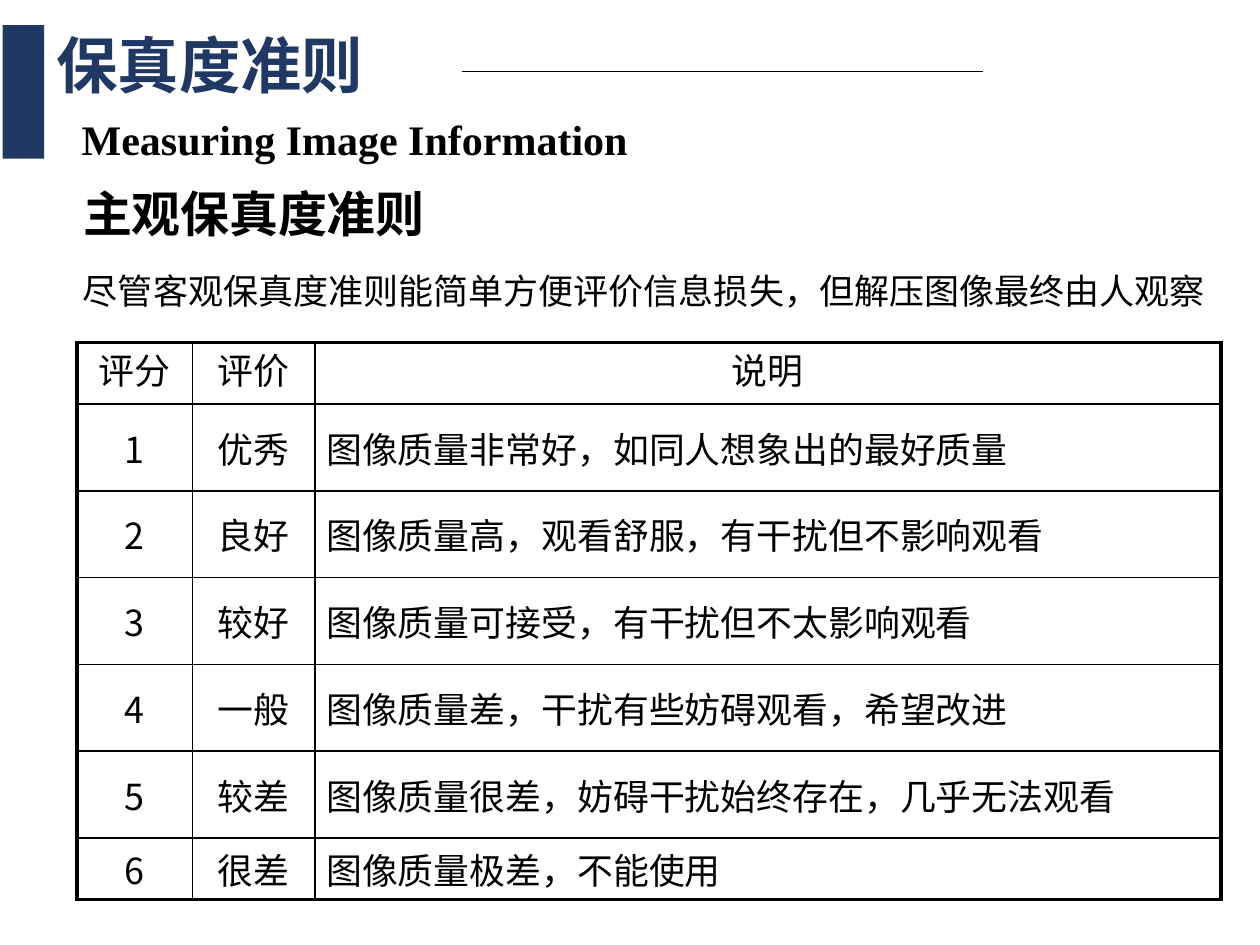
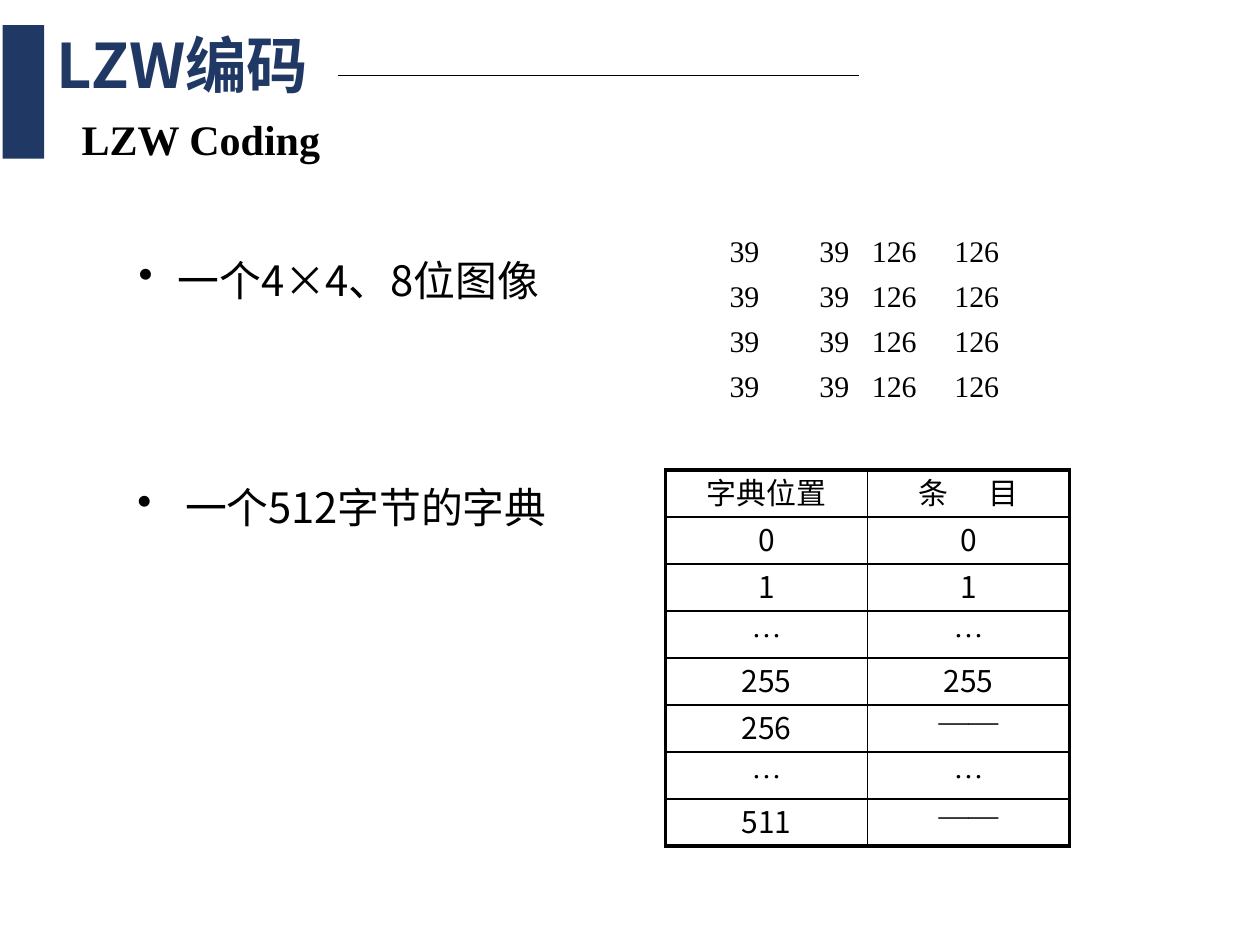
from dataclasses import dataclass

import lxml.etree
import pptx
import pptx.dml.color
import pptx.enum.shapes
import pptx.enum.text
import pptx.oxml.ns
import pptx.presentation
import pptx.shapes.autoshape
import pptx.slide
import pptx.table
import pptx.text.text
import pptx.util

Pt = pptx.util.Pt
qn = pptx.oxml.ns.qn
LEFT = pptx.enum.text.PP_ALIGN.LEFT
CENTER = pptx.enum.text.PP_ALIGN.CENTER
RIGHT = pptx.enum.text.PP_ALIGN.RIGHT
TOP = pptx.enum.text.MSO_ANCHOR.TOP
MIDDLE = pptx.enum.text.MSO_ANCHOR.MIDDLE

NAVY = pptx.dml.color.RGBColor(0x20, 0x38, 0x64)
BLACK = pptx.dml.color.RGBColor(0x00, 0x00, 0x00)

SANS = "Noto Sans CJK SC"
SERIF = "Times New Roman"
ARIAL = "Arial"

OUTER_RULE = 2.25
INNER_RULE = 1


@dataclass(frozen=True)
class TextStyle:
    size: float
    font: str = SANS
    color: pptx.dml.color.RGBColor = BLACK
    bold: bool = False
    spacing: int = 0  # hundredths of a point

    @property
    def east_asian(self) -> str:
        return SANS if self.font == ARIAL else self.font


@dataclass(frozen=True)
class Box:
    left: float
    top: float
    width: float
    height: float

    def lengths(self) -> tuple:
        return Pt(self.left), Pt(self.top), Pt(self.width), Pt(self.height)


@dataclass(frozen=True)
class Column:
    width: float
    align: pptx.enum.text.PP_ALIGN = CENTER
    indent: float = 0


@dataclass(frozen=True)
class Header:
    title: str
    english: str
    rule_left: float
    rule_top: float


@dataclass(frozen=True)
class Bullet:
    text: str
    box: Box
    indent: float
    hanging: float


TITLE = TextStyle(35.1, color=NAVY, bold=True)
ENGLISH = TextStyle(24, SERIF, bold=True)
SECTION = TextStyle(28, ARIAL, bold=True, spacing=-10)
REMARK = TextStyle(20, ARIAL)
BULLET = TextStyle(23.9, spacing=-10)
RATING = TextStyle(20.5)
DICTIONARY = TextStyle(17.1)
PIXEL = TextStyle(17.1, SERIF)

RATINGS = [
    ("评分", "评价", "说明"),
    ("1", "优秀", "图像质量非常好，如同人想象出的最好质量"),
    ("2", "良好", "图像质量高，观看舒服，有干扰但不影响观看"),
    ("3", "较好", "图像质量可接受，有干扰但不太影响观看"),
    ("4", "一般", "图像质量差，干扰有些妨碍观看，希望改进"),
    ("5", "较差", "图像质量很差，妨碍干扰始终存在，几乎无法观看"),
    ("6", "很差", "图像质量极差，不能使用"),
]
RATING_COLUMNS = [Column(66.24), Column(69.84), Column(517.68, LEFT, 6.5)]
RATING_HEIGHTS = [35.1] + [49.6] * 5 + [35.1]

PIXELS = [("39", "39", "126", "126")] * 4
PIXEL_COLUMNS = [Column(30.3, LEFT, 1.5), Column(39.6, RIGHT),
                 Column(47.5, LEFT, 13), Column(38.2, RIGHT)]

ENTRIES = [("字典位置", "条\t目"), ("0", "0"), ("1", "1"), ("…", "…"),
           ("255", "255"), ("256", "——"), ("…", "…"), ("511", "——")]
ENTRY_COLUMNS = [Column(115.5)] * 2
ENTRY_TAB = 40.3

BULLETS = [
    Bullet("一个4×4、8位图像", Box(77.8, 141.1, 263.5, 28.8), 23.8, 22.3),
    Bullet("一个512字节的字典", Box(77.8, 270.7, 257, 28.8), 28.1, 27.4),
]


def add_run(paragraph: pptx.text.text._Paragraph, text: str, style: TextStyle) -> None:
    run = paragraph.add_run()
    run.text = text
    run.font.size = Pt(style.size)
    run.font.bold = style.bold
    run.font.color.rgb = style.color
    run.font.name = style.font
    properties = run._r.get_or_add_rPr()
    if style.spacing:
        properties.set("spc", str(style.spacing))
    lxml.etree.SubElement(properties, qn("a:ea"), typeface=style.east_asian)


def add_tab(paragraph: pptx.text.text._Paragraph, position: float) -> None:
    tabs = lxml.etree.SubElement(paragraph._p.get_or_add_pPr(), qn("a:tabLst"))
    lxml.etree.SubElement(tabs, qn("a:tab"), pos=str(Pt(position)), algn="l")


def add_text(slide: pptx.slide.Slide, box: Box, text: str, style: TextStyle,
             anchor: pptx.enum.text.MSO_ANCHOR = TOP, line_spacing: float = 1.0,
             insets: tuple | None = None) -> pptx.text.text._Paragraph:
    """Insets are left, top, right, bottom in points."""
    frame = slide.shapes.add_textbox(*box.lengths()).text_frame
    frame.word_wrap = True
    frame.vertical_anchor = anchor
    if insets:
        (frame.margin_left, frame.margin_top,
         frame.margin_right, frame.margin_bottom) = map(Pt, insets)
    paragraph = frame.paragraphs[0]
    paragraph.line_spacing = line_spacing
    add_run(paragraph, text, style)
    return paragraph


def add_bullet(slide: pptx.slide.Slide, bullet: Bullet) -> None:
    paragraph = add_text(slide, bullet.box, bullet.text, BULLET,
                         line_spacing=Pt(33), insets=(0, 0, 0, 0))
    properties = paragraph._p.get_or_add_pPr()
    properties.set("marL", str(Pt(bullet.indent)))
    properties.set("indent", str(-Pt(bullet.hanging)))
    lxml.etree.SubElement(properties, qn("a:buChar"), char="•")


def set_borders(cell: pptx.table._Cell, widths: dict[str, float]) -> None:
    """Draw cell edges; a zero width hides the edge."""
    properties = cell._tc.get_or_add_tcPr()
    for position, (edge, width) in enumerate(widths.items()):
        line = lxml.etree.Element(qn(f"a:{edge}"), w=str(Pt(width)))
        if width:
            fill = lxml.etree.SubElement(line, qn("a:solidFill"))
            lxml.etree.SubElement(fill, qn("a:srgbClr"), val=str(BLACK))
        else:
            lxml.etree.SubElement(line, qn("a:noFill"))
        properties.insert(position, line)


def add_grid(slide: pptx.slide.Slide, left: float, top: float, columns: list[Column],
             heights: list[float], rows: list[tuple], style: TextStyle,
             ruled: bool = True, body_anchor: pptx.enum.text.MSO_ANCHOR = TOP) -> None:
    box = Box(left, top, sum(column.width for column in columns), sum(heights))
    table = slide.shapes.add_table(len(rows), len(columns), *box.lengths()).table
    table.first_row = table.horz_banding = False
    for grid_column, column in zip(table.columns, columns):
        grid_column.width = Pt(column.width)
    last_row, last_column = len(rows) - 1, len(columns) - 1
    inner, outer = (INNER_RULE, OUTER_RULE) if ruled else (0, 0)

    for r, (row, height) in enumerate(zip(rows, heights)):
        table.rows[r].height = Pt(height)
        heading = ruled and r == 0
        for c, (text, column) in enumerate(zip(row, columns)):
            cell = table.cell(r, c)
            cell.fill.background()
            cell.margin_top = cell.margin_right = cell.margin_bottom = 0
            cell.margin_left = Pt(0 if heading else column.indent)
            cell.vertical_anchor = TOP if heading else body_anchor
            paragraph = cell.text_frame.paragraphs[0]
            if "\t" in text:
                add_tab(paragraph, ENTRY_TAB)
            paragraph.alignment = CENTER if heading else column.align
            symbol = text in ("…", "——")
            add_run(paragraph, text, TextStyle(style.size, SERIF) if symbol else style)
            set_borders(cell, {
                "lnL": outer if c == 0 else inner,
                "lnR": outer if c == last_column else inner,
                "lnT": outer if r == 0 else inner,
                "lnB": outer if r == last_row else inner,
            })


def add_header(slide: pptx.slide.Slide, header: Header) -> None:
    """Side band, title, thin rule and English title."""
    add_text(slide, Box(25.2, 7.9, 215.3, 62.6), header.title, TITLE, MIDDLE, 0.9)

    y = Pt(header.rule_top)
    rule = slide.shapes.add_connector(
        pptx.enum.shapes.MSO_CONNECTOR.STRAIGHT,
        Pt(header.rule_left), y, Pt(header.rule_left + 298), y)
    rule.line.color.rgb = BLACK
    rule.line.width = Pt(0.5)
    lxml.etree.SubElement(rule._element.spPr, qn("a:effectLst"))

    band = slide.shapes.add_shape(pptx.enum.shapes.MSO_SHAPE.RECTANGLE,
                                  *Box(1.5, 14.4, 23.7, 76.3).lengths())
    band.shadow.inherit = False
    band.fill.solid()
    band.fill.fore_color.rgb = NAVY
    band.line.fill.background()

    add_text(slide, Box(39.6, 49, 586, 64), header.english, ENGLISH, MIDDLE, 0.9)


def new_slide(deck: pptx.presentation.Presentation, header: Header) -> pptx.slide.Slide:
    slide = deck.slides.add_slide(deck.slide_layouts[6])
    add_header(slide, header)
    return slide


def build_fidelity(deck: pptx.presentation.Presentation) -> None:
    slide = new_slide(deck, Header("保真度准则", "Measuring Image Information", 264, 41))
    add_text(slide, Box(29.5, 80.6, 503.3, 55.4), "主观保真度准则", SECTION,
             line_spacing=Pt(37.5), insets=(18, 20.2, 0, 0))
    add_text(slide, Box(40.3, 150.5, 661, 31.7),
             "尽管客观保真度准则能简单方便评价信息损失，但解压图像最终由人观察", REMARK)
    add_grid(slide, 43.9, 195.8, RATING_COLUMNS, RATING_HEIGHTS, RATINGS, RATING,
             body_anchor=MIDDLE)


def build_lzw(deck: pptx.presentation.Presentation) -> None:
    slide = new_slide(deck, Header("LZW编码", "LZW Coding", 193, 43))
    for bullet in BULLETS:
        add_bullet(slide, bullet)
    add_grid(slide, 415.4, 134.6, PIXEL_COLUMNS, [25.7] * len(PIXELS), PIXELS, PIXEL,
             ruled=False)
    add_grid(slide, 380.2, 268.6, ENTRY_COLUMNS, [26.85] * len(ENTRIES), ENTRIES,
             DICTIONARY)


def main() -> None:
    deck = pptx.Presentation()
    deck.slide_width, deck.slide_height = Pt(720), Pt(540)
    build_fidelity(deck)
    build_lzw(deck)
    deck.save("out.pptx")


if __name__ == "__main__":
    main()
